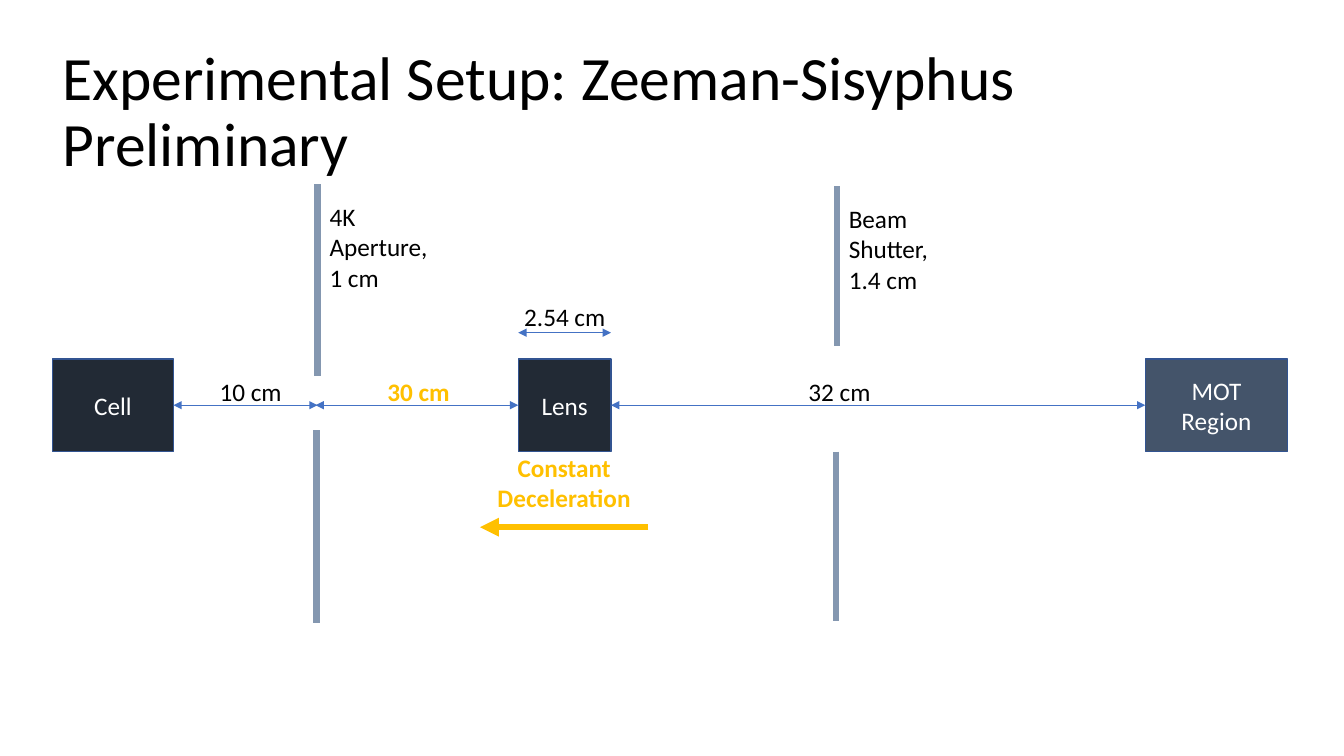
from dataclasses import dataclass

from lxml.etree import SubElement
from pptx import Presentation
from pptx.dml.color import RGBColor
from pptx.enum.shapes import MSO_CONNECTOR, MSO_SHAPE
from pptx.enum.text import MSO_ANCHOR, PP_ALIGN
from pptx.oxml.ns import qn
from pptx.util import Inches, Pt


@dataclass(frozen=True)
class Theme:
    font: str = "Calibri"
    title_size: int = 44
    body_size: int = 18
    black: str = "000000"
    white: str = "FFFFFF"
    dark: str = "222A35"
    slate: str = "44546A"
    outline: str = "325491"
    plate: str = "8497B0"
    arrow: str = "4472C4"
    gold: str = "FFC000"
    thin: float = 0.5
    thick: float = 4.5


theme = Theme()
unit = Inches(0.01)  # grid of 1333 columns by 750 rows
axis = 402  # row of the beam


def write(box, *lines, size=theme.body_size, color=theme.black, bold=False,
          align=PP_ALIGN.LEFT, anchor=MSO_ANCHOR.TOP, spacing=1.0):
    frame = box.text_frame
    frame.word_wrap = True
    frame.vertical_anchor = anchor
    for index, line in enumerate(lines):
        para = frame.add_paragraph() if index else frame.paragraphs[0]
        para.alignment = align
        para.line_spacing = spacing
        span = para.add_run()
        span.text = line
        span.font.name = theme.font
        span.font.size = Pt(size)
        span.font.bold = bold
        span.font.color.rgb = RGBColor.from_string(color)


def draw_line(start, end, color=theme.arrow, width=theme.thin, arrows=("headEnd", "tailEnd")):
    line = page.shapes.add_connector(
        MSO_CONNECTOR.STRAIGHT, *[n * unit for n in (*start, *end)])
    line.line.color.rgb = RGBColor.from_string(color)
    line.line.width = Pt(width)
    for arrow in arrows:
        SubElement(line.line._get_or_add_ln(), qn("a:" + arrow), type="triangle")
    SubElement(line._element.spPr, qn("a:effectLst"))
    return line


deck = Presentation()
deck.slide_width, deck.slide_height = 1333 * unit, 750 * unit
page = deck.slides.add_slide(deck.slide_layouts[5])

# Title
title = page.shapes.title
title.left, title.top, title.width, title.height = [n * unit for n in (52, 40, 1258, 145)]
write(title, "Experimental Setup: Zeeman-Sisyphus Preliminary",
      size=theme.title_size, anchor=MSO_ANCHOR.MIDDLE, spacing=0.9)

# Stations along the beam
side = 92
stations = {}
for name, left, width, fill in (
    ("Cell", 52, 120, theme.dark),
    ("Lens", 514, side, theme.dark),
    ("MOT Region", 1136, 141, theme.slate),
):
    box = page.shapes.add_shape(
        MSO_SHAPE.RECTANGLE, *[n * unit for n in (left, axis - side // 2, width, side)])
    box.shadow.inherit = False
    box.fill.solid()
    box.fill.fore_color.rgb = RGBColor.from_string(fill)
    box.line.color.rgb = RGBColor.from_string(theme.outline)
    box.line.width = Pt(1)
    write(box, name, color=theme.white, align=PP_ALIGN.CENTER, anchor=MSO_ANCHOR.MIDDLE)
    stations[name] = box

# Aperture and shutter plates, above and below the beam
for column, upper, lower in (
    (315, (183, 373), (427, 618)),
    (830, (185, 343), (448, 616)),
):
    for x, (top, bottom) in ((column, upper), (column - 1, lower)):
        draw_line((x, top), (x, bottom), color=theme.plate, width=theme.thick, arrows=())

# Distance arrows
cell_gap = draw_line((172, axis), (315, axis))
cell_gap.begin_connect(stations["Cell"], 3)
lens_gap = draw_line((313, axis), (514, axis))
lens_gap.end_connect(stations["Lens"], 1)
region_gap = draw_line((606, axis), (1136, axis))
region_gap.begin_connect(stations["Lens"], 3)
region_gap.end_connect(stations["MOT Region"], 1)
draw_line((514, 330), (514 + side, 330))

# Deceleration arrow
draw_line((643, 523), (476, 523), color=theme.gold, width=theme.thick, arrows=("tailEnd",))

# Labels
emphasis = {"color": theme.gold, "bold": True, "align": PP_ALIGN.CENTER}
for place, lines, style in (
    ((317, 195, 126, 101), ("4K Aperture,", "1 cm"), {}),
    ((832, 197, 126, 101), ("Beam Shutter,", "1.4 cm"), {}),
    ((208, 368, 92, 40), ("10 cm",), {}),
    ((510, 294, 108, 40), ("2.54 cm",), {}),
    ((792, 368, 108, 40), ("32 cm",), {}),
    ((369, 368, 92, 40), ("30 cm",), emphasis),
    ((476, 444, 167, 71), ("Constant Deceleration",), emphasis),
):
    label = page.shapes.add_textbox(*[n * unit for n in place])
    write(label, *lines, **style)

deck.save("out.pptx")
